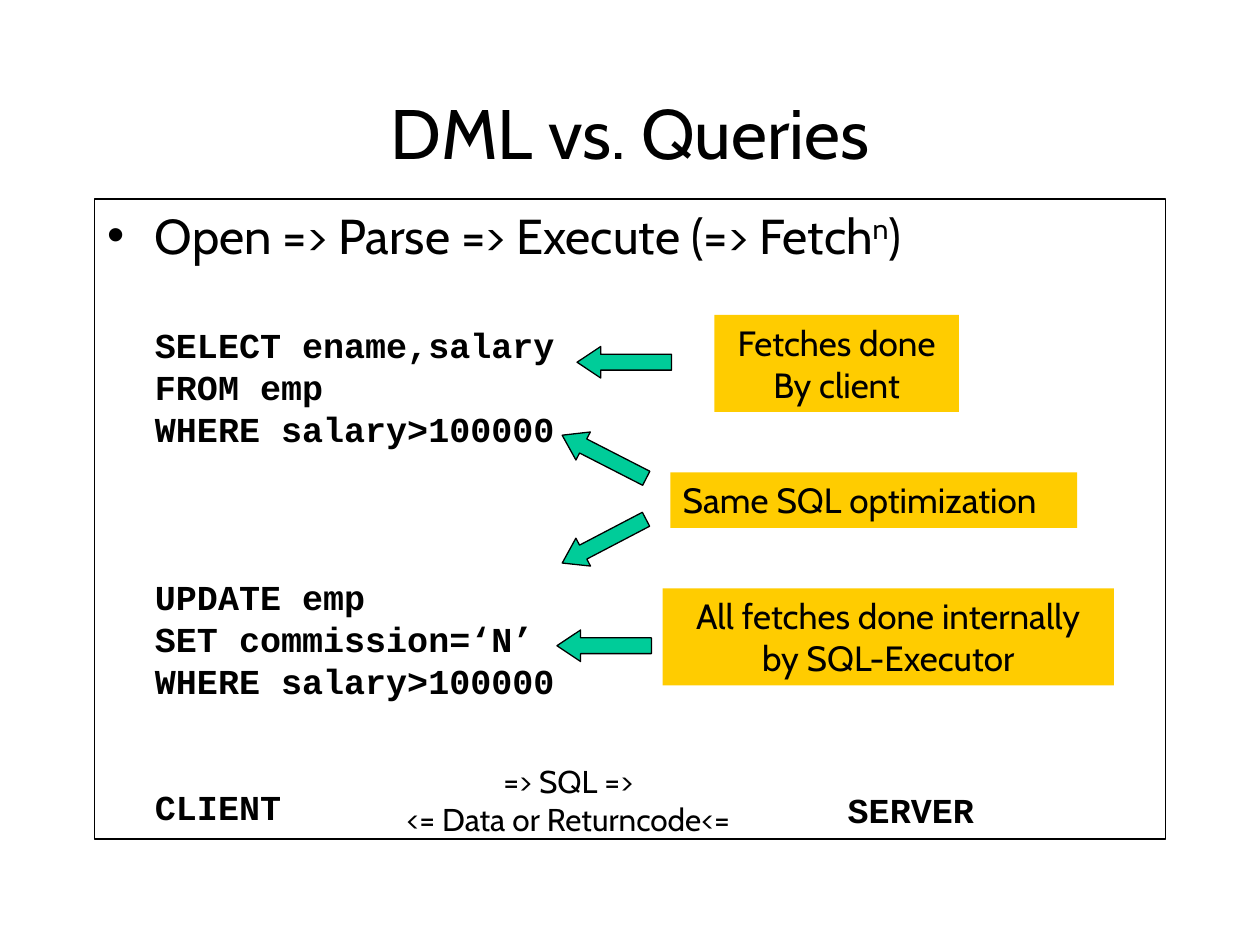
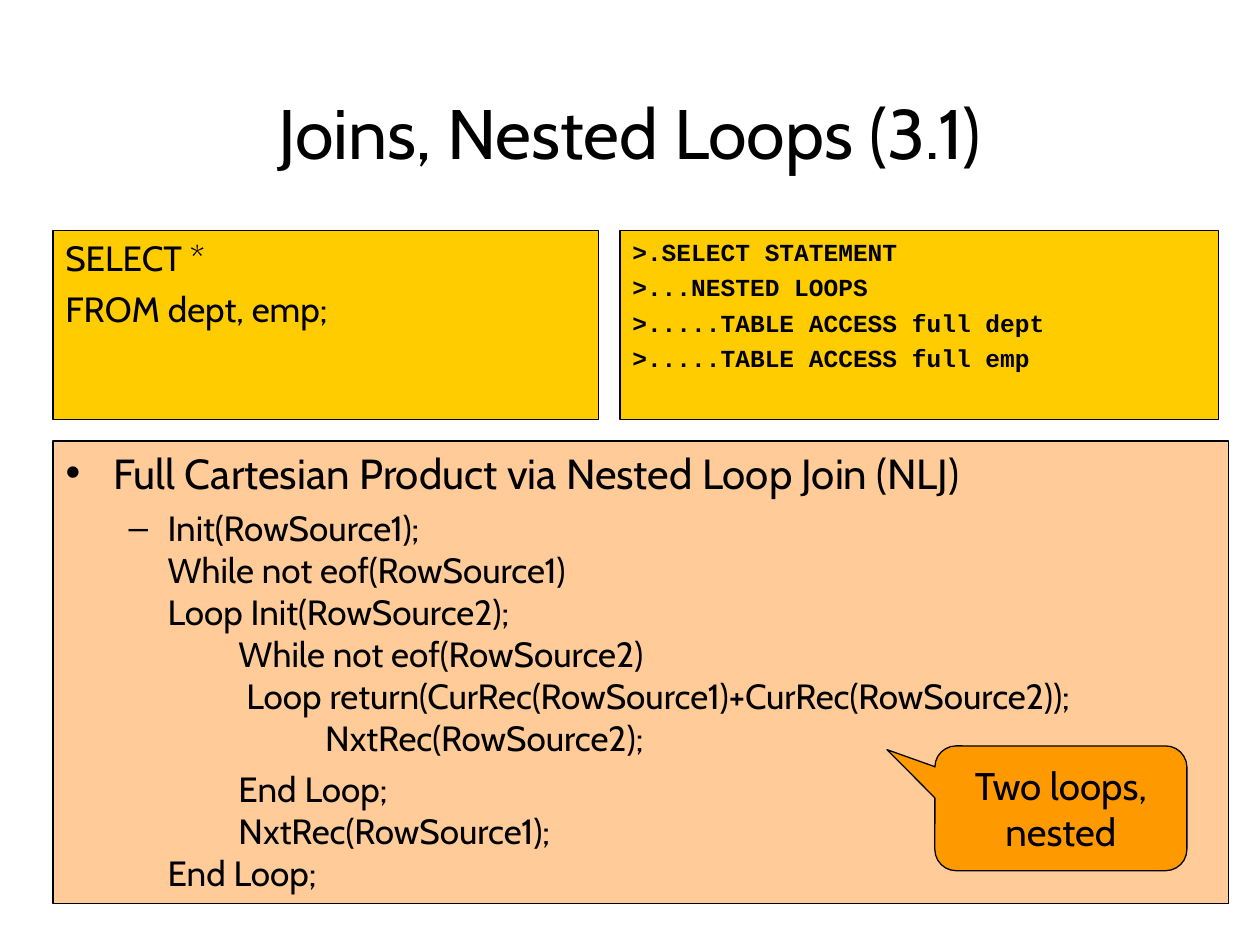
from copy import deepcopy
from lxml import etree
from pptx import Presentation
from pptx.dml.color import RGBColor
from pptx.enum.shapes import MSO_SHAPE
from pptx.enum.text import MSO_ANCHOR, MSO_AUTO_SIZE, PP_ALIGN
from pptx.oxml.ns import qn
from pptx.util import Inches, Pt

RECT = MSO_SHAPE.RECTANGLE
ARROW = MSO_SHAPE.LEFT_ARROW
BUBBLE = MSO_SHAPE.ROUNDED_RECTANGULAR_CALLOUT
TOP, MIDDLE = MSO_ANCHOR.TOP, MSO_ANCHOR.MIDDLE
LEFT, CENTER = PP_ALIGN.LEFT, PP_ALIGN.CENTER

theme = {
    "ink": RGBColor.from_string("000000"),
    "gold": RGBColor.from_string("FFCC00"),
    "peach": RGBColor.from_string("FFCC99"),
    "orange": RGBColor.from_string("FF9900"),
    "green": RGBColor.from_string("00CC99"),
    "line": Pt(0.75),
    "sans": "Cabin",
    "mono": "Courier New",
    "title": 40, "lead": 28, "head": 24, "call": 22,
    "text": 20, "flow": 18, "plan": 14,
}


def paint(shape, box, fill=None, edge=True):
    for key, val in zip(("left", "top", "width", "height"), box):
        setattr(shape, key, Inches(val))
    shape.shadow.inherit = False
    if fill:
        shape.fill.solid()
        shape.fill.fore_color.rgb = theme[fill]
    else:
        shape.fill.background()
    if edge:
        shape.line.color.rgb = theme["ink"]
        shape.line.width = theme["line"]
    else:
        shape.line.fill.background()
    return shape


def write(shape, rows, align=LEFT, anchor=TOP):
    frame = shape.text_frame
    for key, val in {"word_wrap": True, "auto_size": MSO_AUTO_SIZE.NONE,
                     "vertical_anchor": anchor}.items():
        setattr(frame, key, val)
    for num, (text, size, fmt) in enumerate(rows):
        para = frame.paragraphs[0] if num == 0 else frame.add_paragraph()
        mono = fmt.get("mono", False)
        for key, val in {"alignment": align, "level": fmt.get("level", 0),
                         "space_before": Pt(fmt.get("gap", 0) if num else 0),
                         "space_after": Pt(0),
                         "line_spacing": Pt(1.2 * theme[size]) if mono else 1.0}.items():
            setattr(para, key, val)
        props = para._p.get_or_add_pPr()
        props.set("marL", str(Inches(fmt.get("left", 0))))
        props.set("indent", str(Inches(fmt.get("hang", 0))))
        if "mark" in fmt:
            etree.SubElement(props, qn("a:buChar")).set("char", fmt["mark"])
        else:
            etree.SubElement(props, qn("a:buNone"))
        for part, piece in enumerate(text.split("^")):
            for row, line in enumerate(piece.split("\n")):
                if row:
                    para.add_line_break()
                run = para.add_run()
                run.text = line
                for key, val in {"size": Pt(theme[size]), "bold": mono,
                                 "name": theme["mono" if mono else "sans"]}.items():
                    setattr(run.font, key, val)
                run.font.color.rgb = theme["ink"]
                if part % 2:
                    run._r.get_or_add_rPr().set("baseline", "30000")
        for gap in para._p.findall(qn("a:br")):
            gap.append(deepcopy(run._r.rPr))


deck = Presentation()
deck.slide_width, deck.slide_height = Inches(10), Inches(7.5)
slides = []
for name in ("DML vs. Queries", "Joins, Nested Loops (3.1)"):
    slide = deck.slides.add_slide(deck.slide_layouts[1])
    title = paint(slide.shapes.title, (0.75, 0.67, 8.5, 0.75), edge=False)
    write(title, [(name, "title", {})], CENTER, MIDDLE)
    slides.append(slide)
dml, joins = slides

lead = {"left": 0.38, "hang": -0.38, "mark": "•"}
code = {"left": 0.38, "mono": True}
body = paint(dml.placeholders[1], (0.75, 1.58, 8.5, 5.08))
write(body, [
    ("Open => Parse => Execute (=> Fetch^n^)", "lead", lead),
    ("SELECT ename,salary\nFROM emp\nWHERE salary>100000", "text", {**code, "gap": 33.7}),
    ("UPDATE emp\nSET commission=‘N’\nWHERE salary>100000", "text", {**code, "gap": 72}),
    ("CLIENT", "text", {**code, "gap": 48}),
])
server = paint(dml.shapes.add_textbox(0, 0, 0, 0), (6.63, 6.21, 1.5, 0.43), edge=False)
write(server, [("SERVER", "text", {"mono": True})])

notes = [
    ((5.32, 3.75, 3.23, 0.44), LEFT, ["Same SQL optimization"]),
    ((5.26, 4.67, 3.58, 0.77), CENTER, ["All fetches done internally", "by SQL-Executor"]),
    ((5.67, 2.5, 1.94, 0.77), CENTER, ["Fetches done", "By client"]),
]
for box, align, lines in notes:
    note = paint(dml.shapes.add_shape(RECT, 0, 0, 0, 0), box, "gold", False)
    write(note, [(line, "text", {}) for line in lines], align)

for left, top, turn in ((4.42, 3.5, 27.1), (4.42, 4.17, 332.4),
                        (4.58, 2.75, 0), (4.42, 5, 0)):
    arrow = paint(dml.shapes.add_shape(ARROW, 0, 0, 0, 0), (left, top, 0.75, 0.25), "green")
    arrow.adjustments[0], arrow.adjustments[1] = 0.5, 0.75
    arrow.rotation = turn

flow = paint(dml.shapes.add_textbox(0, 0, 0, 0), (2.94, 6, 3.14, 0.7), edge=False)
write(flow, [("=> SQL =>\n<= Data or Returncode<=", "flow", {})], CENTER)

loop = """Init(RowSource1);
While not eof(RowSource1)
Loop Init(RowSource2);
         While not eof(RowSource2)
          Loop return(CurRec(RowSource1)+CurRec(RowSource2));
                    NxtRec(RowSource2);"""
tail = """         End Loop;
         NxtRec(RowSource1);
End Loop;"""
step = {"level": 1, "left": 0.81, "gap": 5}
body = paint(joins.placeholders[1], (0.42, 3.5, 9.33, 3.67), "peach")
write(body, [
    ("Full Cartesian Product via Nested Loop Join (NLJ)", "head", lead),
    (loop, "text", {**step, "hang": -0.31, "mark": "–"}),
    (tail, "text", step),
])

panels = [
    (4.92, 4.75, "plan", {"mono": True, "gap": 3.5},
     [">.SELECT STATEMENT", ">...NESTED LOOPS",
      ">.....TABLE ACCESS full dept", ">.....TABLE ACCESS full emp"]),
    (0.42, 4.33, "text", {"gap": 5}, ["SELECT *", "FROM dept, emp;"]),
]
for left, width, size, fmt, lines in panels:
    panel = paint(joins.shapes.add_shape(RECT, 0, 0, 0, 0), (left, 1.83, width, 1.5), "gold")
    write(panel, [(line, size, fmt) for line in lines])

bubble = paint(joins.shapes.add_shape(BUBBLE, 0, 0, 0, 0), (7.42, 5.92, 2, 0.99), "orange")
for num, val in enumerate((-0.69, -0.47, 0.17)):
    bubble.adjustments[num] = val
write(bubble, [("Two loops,", "call", {}), ("nested", "call", {})], CENTER, MIDDLE)

deck.save("out.pptx")
